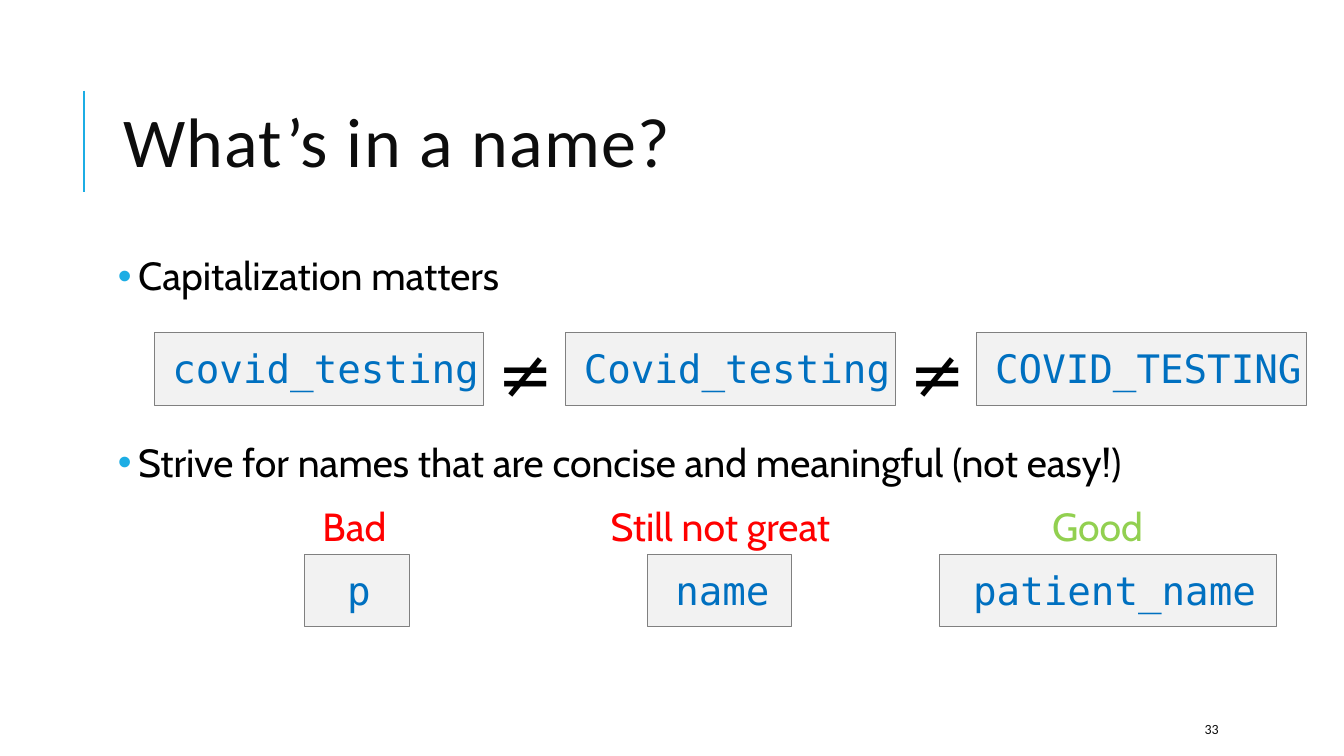
from lxml import etree
from pptx import Presentation
from pptx.dml.color import RGBColor
from pptx.enum.shapes import MSO_CONNECTOR, MSO_SHAPE
from pptx.enum.text import MSO_ANCHOR, MSO_AUTO_SIZE, PP_ALIGN
from pptx.oxml.ns import qn
from pptx.util import Pt

SCALE = 9144  # EMU per px, 100 px to the inch

STRAIGHT = MSO_CONNECTOR.STRAIGHT
RECTANGLE = MSO_SHAPE.RECTANGLE
TOP, MIDDLE = MSO_ANCHOR.TOP, MSO_ANCHOR.MIDDLE
LEFT, CENTER = PP_ALIGN.LEFT, PP_ALIGN.CENTER
NO_AUTOFIT = MSO_AUTO_SIZE.NONE

ACCENT = RGBColor(0x1C, 0xAD, 0xE4)
INK = RGBColor(0x0D, 0x0D, 0x0D)
BLACK = RGBColor(0x00, 0x00, 0x00)
CODE_BLUE = RGBColor(0x00, 0x70, 0xC0)
CODE_FILL = RGBColor(0xF2, 0xF2, 0xF2)
CODE_BORDER = RGBColor(0x80, 0x80, 0x80)
RED = RGBColor(0xFF, 0x00, 0x00)
GREEN = RGBColor(0x92, 0xD0, 0x50)

BODY_FONT, HEAD_FONT, CODE_FONT = "Cabin", "Calibri", "DejaVu Sans Mono"
CODE_HEIGHT = 72


def px(length):
    return length * SCALE


def place(shape, left, top, width, height):
    shape.left, shape.top = px(left), px(top)
    shape.width, shape.height = px(width), px(height)


def style(paragraph, font_name, size, color):
    for run in paragraph.runs:
        run.font.name = font_name
        run.font.size = Pt(size)
        run.font.color.rgb = color


def add_text(slide, text, box, font_name, size, color, align=CENTER, anchor=TOP):
    left, top, width, height = box
    text_box = slide.shapes.add_textbox(px(left), px(top), px(width), px(height))
    text_frame = text_box.text_frame
    text_frame.word_wrap = True
    text_frame.vertical_anchor = anchor
    text_frame.text = text
    paragraph = text_frame.paragraphs[0]
    paragraph.alignment = align
    style(paragraph, font_name, size, color)


def add_code(slide, name, left, top, width):
    shape = slide.shapes.add_shape(RECTANGLE, px(left), px(top), px(width), px(CODE_HEIGHT))
    shape.shadow.inherit = False
    shape.fill.solid()
    shape.fill.fore_color.rgb = CODE_FILL
    shape.line.color.rgb = CODE_BORDER
    shape.line.width = Pt(0.75)
    text_frame = shape.text_frame
    text_frame.word_wrap = True
    text_frame.vertical_anchor = TOP
    # The name sits slightly right of centre, by 2% of the width
    text_frame.margin_left = px(round(width * 0.04))
    text_frame.margin_right = 0
    text_frame.margin_top = px(12)
    text_frame.text = name
    paragraph = text_frame.paragraphs[0]
    paragraph.alignment = CENTER
    style(paragraph, CODE_FONT, 28, CODE_BLUE)


def add_bullet(paragraph, indent):
    properties = paragraph._p.get_or_add_pPr()
    properties.set("marL", str(px(indent)))
    properties.set("indent", str(-px(indent)))
    bullet_color = etree.SubElement(properties, qn("a:buClr"))
    etree.SubElement(bullet_color, qn("a:srgbClr")).set("val", str(ACCENT))
    etree.SubElement(properties, qn("a:buChar")).set("char", "•")


def build_title(slide, left, top, width, height):
    title = slide.shapes.title
    place(title, left, top, width, height)
    text_frame = title.text_frame
    text_frame.auto_size = NO_AUTOFIT
    text_frame.vertical_anchor = MIDDLE
    text_frame.text = "What’s in a name?"
    paragraph = text_frame.paragraphs[0]
    paragraph.alignment = LEFT
    paragraph.line_spacing = 0.8
    style(paragraph, HEAD_FONT, 50, INK)
    paragraph.runs[0].font._element.set("spc", "100")

    # Accent rule beside the title
    rule_x = px(left - 29)
    rule = slide.shapes.add_connector(STRAIGHT, rule_x, px(top + 26), rule_x, px(top + 126))
    rule.line.color.rgb = ACCENT
    rule.line.width = Pt(1.5)
    etree.SubElement(rule._element.spPr, qn("a:effectLst"))


def build_bullets(slide, left, top, width, height):
    body = slide.placeholders[1]
    place(body, left, top, width, height)
    text_frame = body.text_frame
    text_frame.auto_size = NO_AUTOFIT
    text_frame.margin_left = text_frame.margin_right = px(5)
    text_frame.margin_top = text_frame.margin_bottom = px(5)
    text_frame.text = ("Capitalization matters\n"
                       "Strive for names that are concise and meaningful (not easy!)")
    # The second bullet leaves room for the row of code boxes
    for paragraph, space_before in zip(text_frame.paragraphs, (0, 101)):
        add_bullet(paragraph, 20)
        paragraph.line_spacing = 0.9
        paragraph.space_before = Pt(space_before)
        paragraph.space_after = Pt(2)
        style(paragraph, BODY_FONT, 28, BLACK)


def build_capitalization(slide, left, top, width, pitch):
    names = ("covid_testing", "Covid_testing", "COVID_TESTING")
    sign_width = 159
    for index, name in enumerate(names):
        code_left = left + index * pitch
        add_code(slide, name, code_left, top, width)
        if index:
            gap_center = code_left - (pitch - width) // 2
            sign_box = (gap_center - sign_width // 2, top - 6, sign_width, 91)
            add_text(slide, "≠", sign_box, BODY_FONT, 48, BLACK)


def build_examples(slide, top):
    # label, colour, label left, label width, name, code left, code width
    examples = (
        ("Bad", RED, 281, 141, "p", 302, 104),
        ("Still not great", RED, 568, 293, "name", 642, 143),
        ("Good", GREEN, 1018, 141, "patient_name", 932, 334),
    )
    for label, color, label_left, label_width, name, code_left, code_width in examples:
        add_code(slide, name, code_left, top + 57, code_width)
        add_text(slide, label, (label_left, top, label_width, 57), BODY_FONT, 28, color)


def main():
    presentation = Presentation()
    presentation.slide_width, presentation.slide_height = px(1333), px(750)
    slide = presentation.slides.add_slide(presentation.slide_layouts[1])
    build_title(slide, 112, 64, 1063, 164)
    build_bullets(slide, 112, 250, 1063, 440)
    build_capitalization(slide, 153, 330, 327, 408)
    build_examples(slide, 493)
    # Slide number
    add_text(slide, "33", (1185, 708, 106, 30), HEAD_FONT, 10, INK, LEFT, MIDDLE)
    presentation.save("out.pptx")


if __name__ == "__main__":
    main()
